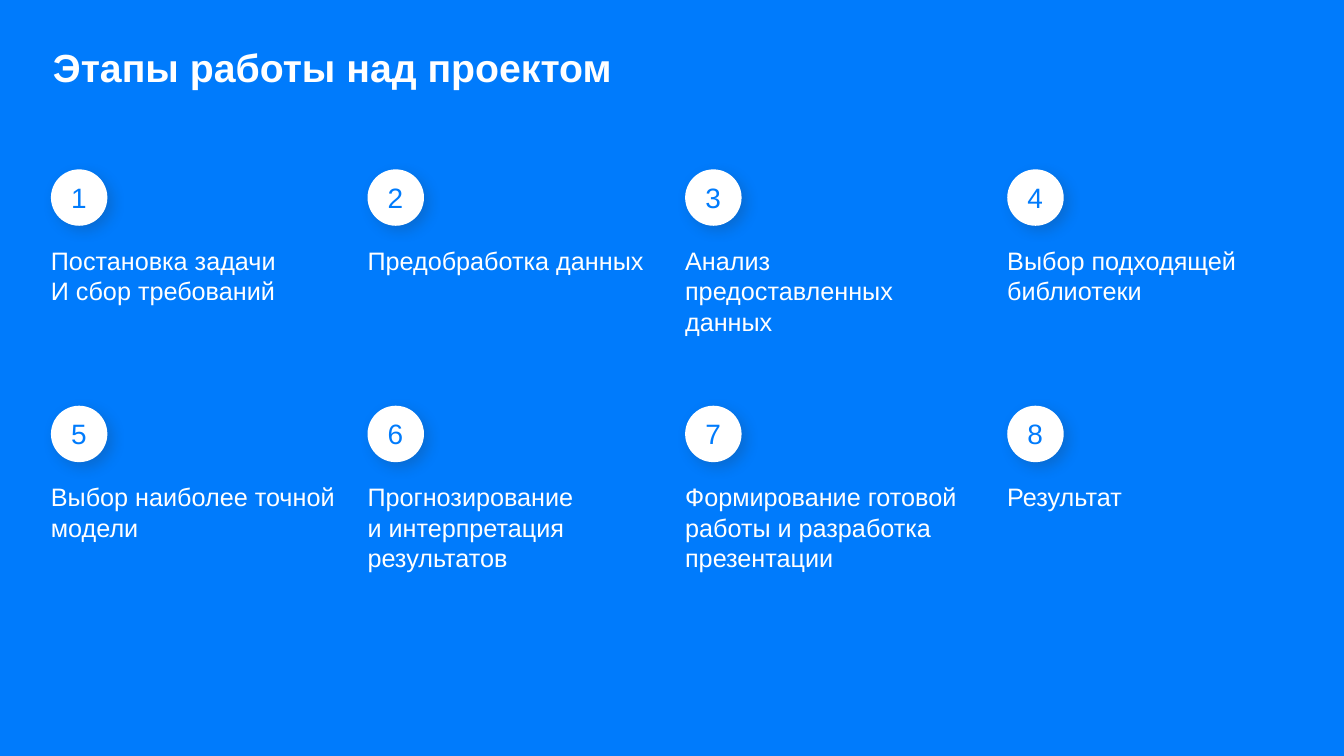
import pptx
import pptx.util
import pptx.dml.color
import pptx.enum.shapes
import pptx.enum.text
import pptx.oxml
import pptx.oxml.ns

Inches = pptx.util.Inches
Align = pptx.enum.text.PP_ALIGN
Anchor = pptx.enum.text.MSO_ANCHOR
Fit = pptx.enum.text.MSO_AUTO_SIZE
BLUE = pptx.dml.color.RGBColor(0x00, 0x7B, 0xFC)
WHITE = pptx.dml.color.RGBColor(0xFF, 0xFF, 0xFF)

TITLE = {"name": "Arial", "size": pptx.util.Pt(56), "bold": True}
DIGIT = {"name": "Arial", "size": pptx.util.Pt(40)}
LABEL = {"name": "Arial", "size": pptx.util.Pt(36)}

COLS = [(1.01, 5.86), (7.29, 5.71), (13.59, 5.8), (19.98, 5.71)]
ROWS = [3.36, 8.05]
DISC = 1.12
STEPS = [
    ("Постановка задачи\nИ сбор требований", 2),
    ("Предобработка данных", 2),
    ("Анализ предоставленных данных", 3),
    ("Выбор подходящей библиотеки", 2),
    ("Выбор наиболее точной модели", 2),
    ("Прогнозирование\nи интерпретация\nрезультатов", 3),
    ("Формирование готовой работы и разработка презентации", 4),
    ("Результат", 1),
]
SHADOW = (
    '<a:outerShdw %s blurRad="254000" dist="125730" dir="2700000" rotWithShape="0">'
    '<a:srgbClr val="2C2C2C"><a:alpha val="20000"/></a:srgbClr></a:outerShdw>'
    % pptx.oxml.ns.nsdecls("a")
)


def apply(target, values):
    """Set each named value on the target."""
    for name, value in values.items():
        setattr(target, name, value)


def add_text(slide, box, text, style, color, align=Align.LEFT, inset=0, **frame_values):
    """Add a wrapped text box with one paragraph per line."""
    frame = slide.shapes.add_textbox(*map(Inches, box)).text_frame
    margins = {f"margin_{side}": Inches(inset) for side in ("left", "top", "right", "bottom")}
    apply(frame, {"word_wrap": True, **margins, **frame_values})
    frame.text = text
    for para in frame.paragraphs:
        para.alignment = align
        for run in para.runs:
            apply(run.font, style)
            run.font.color.rgb = color


def add_disc(slide, left, top):
    """Add a white disc with a soft shadow."""
    oval = pptx.enum.shapes.MSO_SHAPE.OVAL
    disc = slide.shapes.add_shape(oval, *map(Inches, (left, top, DISC, DISC)))
    disc.fill.solid()
    disc.fill.fore_color.rgb = WHITE
    disc.line.fill.background()
    disc.shadow.inherit = False
    effects = disc.element.spPr.find(pptx.oxml.ns.qn("a:effectLst"))
    effects.append(pptx.oxml.parse_xml(SHADOW))


def add_step(slide, index, text, lines):
    """Add a numbered disc with its label at the step's grid place."""
    row, col = divmod(index, len(COLS))
    left, width = COLS[col]
    top = ROWS[row]
    add_disc(slide, left, top)
    add_text(slide, (left + 0.16, top + 0.22, 0.79, 0.67), str(index + 1), DIGIT, BLUE,
             Align.CENTER, vertical_anchor=Anchor.MIDDLE, auto_size=Fit.SHAPE_TO_FIT_TEXT)
    add_text(slide, (left, top + 1.51, width, 0.6 * lines), text, LABEL, WHITE,
             auto_size=Fit.SHAPE_TO_FIT_TEXT)


def main():
    """Build the slide of project stages and save it."""
    deck = pptx.Presentation()
    apply(deck, {"slide_width": Inches(26.66), "slide_height": Inches(15)})
    slide = deck.slides.add_slide(deck.slide_layouts[6])
    slide.background.fill.solid()
    slide.background.fill.fore_color.rgb = BLUE
    add_text(slide, (0.99, 0.79, 18.45, 2.5), "Этапы работы над проектом", TITLE, WHITE, inset=0.06)
    for index, (text, lines) in enumerate(STEPS):
        add_step(slide, index, text, lines)
    deck.save("out.pptx")


if __name__ == "__main__":
    main()
